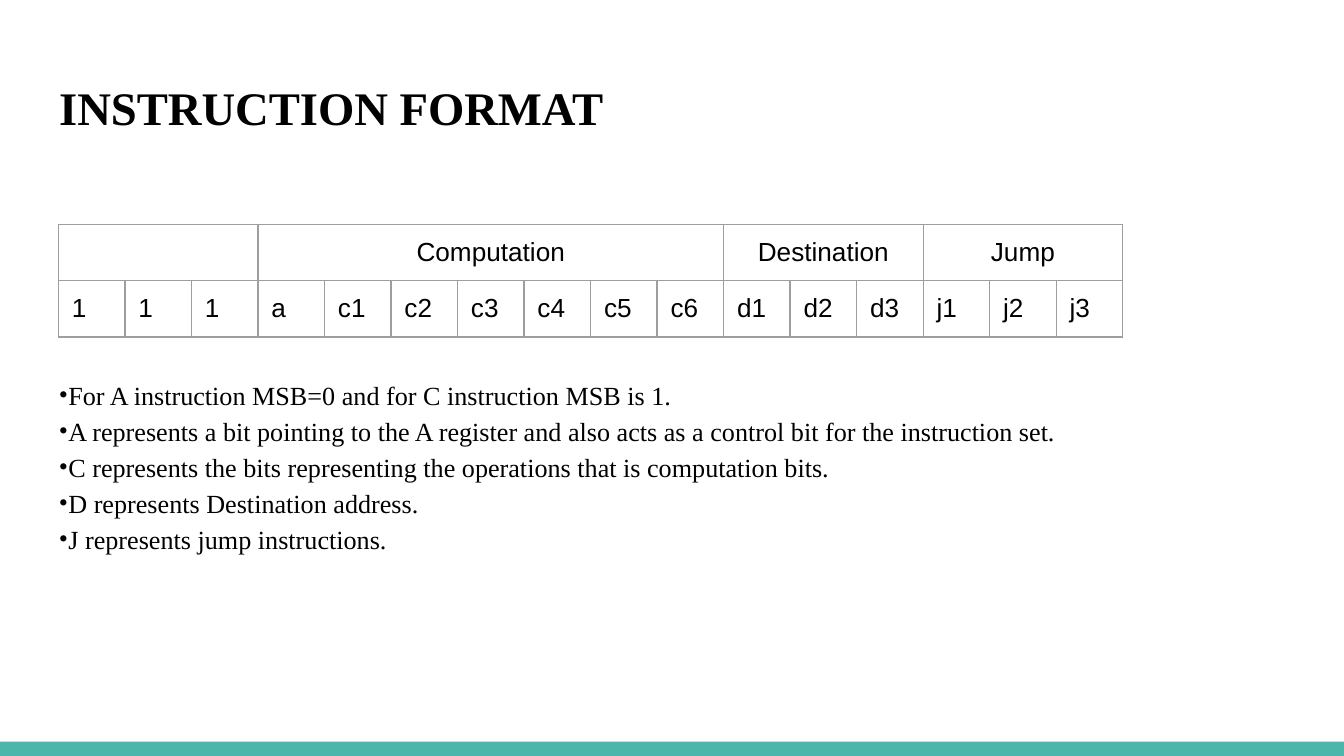
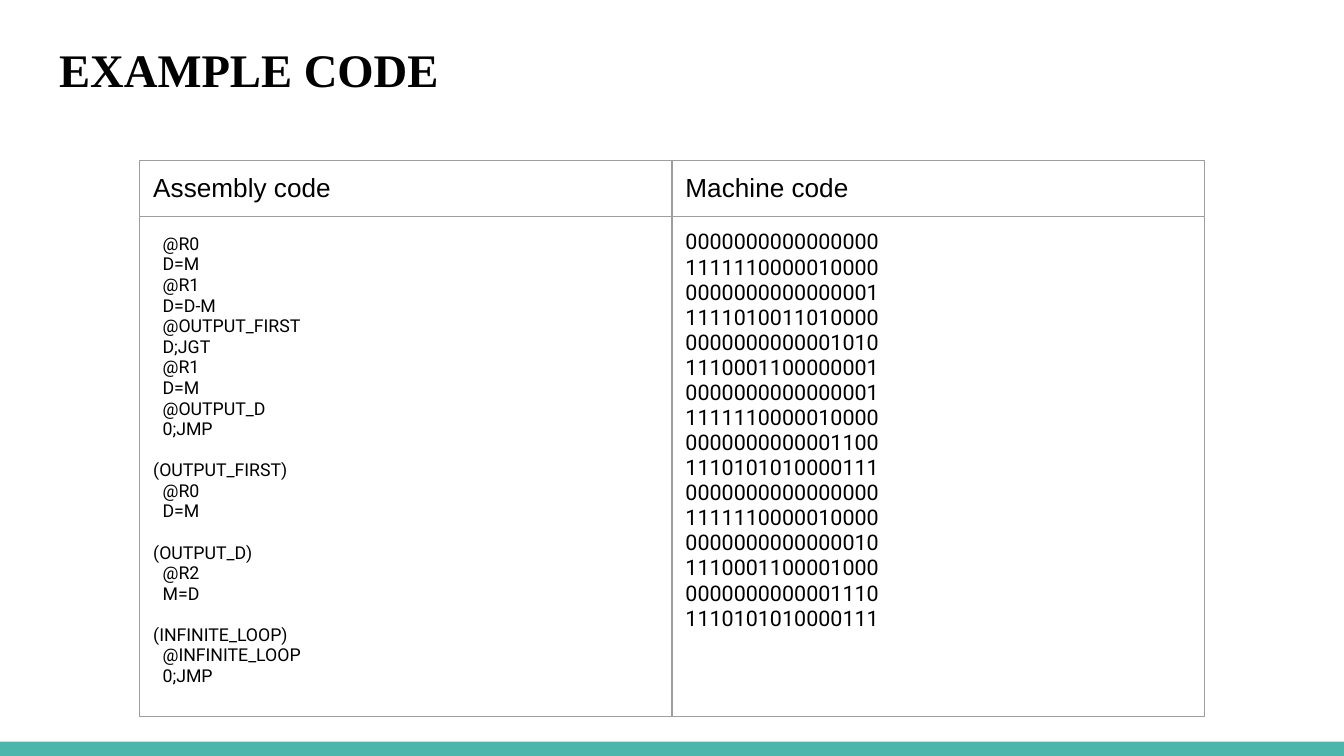
from lxml import etree
from pptx import Presentation
from pptx.dml.color import RGBColor
from pptx.enum.shapes import MSO_SHAPE
from pptx.enum.text import MSO_ANCHOR, MSO_AUTO_SIZE, PP_ALIGN
from pptx.oxml.ns import qn
from pptx.util import Inches, Pt

RECT = MSO_SHAPE.RECTANGLE
TOP = MSO_ANCHOR.TOP
NO_AUTOFIT = MSO_AUTO_SIZE.NONE
LEFT, CENTER, JUSTIFY = PP_ALIGN.LEFT, PP_ALIGN.CENTER, PP_ALIGN.JUSTIFY

WIDTH = Inches(10)
HEIGHT = WIDTH * 9 // 16
INSET = Inches(0.1)
INDENT = Inches(0.07)
TITLE_ONLY = 5

BLACK, WHITE, TEAL, GREY = "000000", "FFFFFF", "4DB6AC", "9E9E9E"
SERIF, SANS, CODE = "Times New Roman", "Arial", "Roboto"

# Text of each field and the number of bits it spans
FIELDS = [("", 3), ("Computation", 7), ("Destination", 3), ("Jump", 3)]
BITS = "1 1 1 a c1 c2 c3 c4 c5 c6 d1 d2 d3 j1 j2 j3".split()
NOTES = [
    "For A instruction MSB=0 and for C instruction MSB is 1.",
    "A represents a bit pointing to the A register and also acts as a control bit "
    "for the instruction set.",
    "C represents the bits representing the operations that is computation bits.",
    "D represents Destination address.",
    "J represents jump instructions.",
]
ASSEMBLY = """@R0
D=M
@R1
D=D-M
@OUTPUT_FIRST
D;JGT
@R1
D=M
@OUTPUT_D
0;JMP
(OUTPUT_FIRST)
@R0
D=M
(OUTPUT_D)
@R2
M=D
(INFINITE_LOOP)
@INFINITE_LOOP
0;JMP"""
MACHINE = """0000000000000000
1111110000010000
0000000000000001
1111010011010000
0000000000001010
1110001100000001
0000000000000001
1111110000010000
0000000000001100
1110101010000111
0000000000000000
1111110000010000
0000000000000010
1110001100001000
0000000000001110
1110101010000111"""


def color(value):
    return RGBColor.from_string(value)


def across(percent):
    return int(WIDTH * percent / 100)


def down(percent):
    return int(HEIGHT * percent / 100)


def area(left, top, width, height):
    """Turn percentages of the slide into a position and size."""
    return across(left), down(top), across(width), down(height)


def set_text(tf, text, font, size, bold=False, align=LEFT):
    tf.text = text
    for p in tf.paragraphs:
        p.alignment = align
        for r in p.runs:
            r.font.name, r.font.size, r.font.bold = font, Pt(size), bold
            r.font.color.rgb = color(BLACK)
        if not p.runs:
            end = etree.SubElement(p._p, qn("a:endParaRPr"), sz=str(size * 100))
            etree.SubElement(end, qn("a:latin"), typeface=font)


def set_insets(box):
    box.margin_left = box.margin_right = INSET
    box.margin_top = box.margin_bottom = INSET


def prepare_frame(tf):
    tf.word_wrap = True
    tf.auto_size = NO_AUTOFIT
    tf.vertical_anchor = TOP
    set_insets(tf)


def add_band(prs, slide):
    """Draw the bottom band and move it to the master."""
    sp = slide.shapes.add_shape(RECT, *area(0, 98.1, 100, 1.9))
    sp.shadow.inherit = False
    sp.fill.solid()
    sp.fill.fore_color.rgb = color(TEAL)
    sp.line.fill.background()
    sp.element.xpath("./p:nvSpPr/p:cNvPr")[0].set("id", "20")
    prs.slide_master.shapes.element.append(sp.element)


def add_titled_slide(prs, title, top):
    slide = prs.slides.add_slide(prs.slide_layouts[TITLE_ONLY])
    sp = slide.shapes.title
    sp.left, sp.top, sp.width, sp.height = area(3.4, top, 93.2, 13.7)
    prepare_frame(sp.text_frame)
    set_text(sp.text_frame, title, SERIF, 25, bold=True)
    return slide


def add_bullets(slide, items, box):
    tf = slide.shapes.add_textbox(*area(*box)).text_frame
    prepare_frame(tf)
    set_text(tf, "\n".join(items), SERIF, 14, align=JUSTIFY)
    for p in tf.paragraphs:
        p.line_spacing = 1.15
        pPr = p._p.get_or_add_pPr()
        pPr.set("marL", str(INDENT))
        pPr.set("indent", str(-INDENT))
        etree.SubElement(pPr, qn("a:buFont"), typeface=SERIF)
        etree.SubElement(pPr, qn("a:buChar"), char="•")


def style_cell(cell):
    """Give a cell grey borders, no fill and even insets."""
    tcPr = cell._tc.get_or_add_tcPr()
    for side in ("lnL", "lnR", "lnT", "lnB"):
        ln = etree.SubElement(tcPr, qn(f"a:{side}"), w=str(Pt(0.75)))
        fill = etree.SubElement(ln, qn("a:solidFill"))
        etree.SubElement(fill, qn("a:srgbClr"), val=GREY)
    cell.fill.background()
    cell.vertical_anchor = TOP
    set_insets(cell)


def add_grid(slide, left, top, n_cols, row_heights):
    box = area(left, top, 79.2, sum(row_heights))
    table = slide.shapes.add_table(len(row_heights), n_cols, *box).table
    table.first_row = table.horz_banding = False
    for row, height in zip(table.rows, row_heights):
        row.height = down(height)
    for col in table.columns:
        col.width = across(79.2 / n_cols)
    for cell in table.iter_cells():
        style_cell(cell)
    return table


def set_assembly(cell):
    """Indent instructions and set a gap above each label."""
    set_text(cell.text_frame, ASSEMBLY, CODE, 9.5)
    cell.margin_top = Inches(0.13)
    for p in cell.text_frame.paragraphs:
        if p.text.startswith("("):
            p.space_before = Pt(11)
        else:
            p._p.get_or_add_pPr().set("marL", str(INDENT))


def build_format_slide(prs):
    slide = add_titled_slide(prs, "INSTRUCTION FORMAT", 8.7)
    add_band(prs, slide)
    add_bullets(slide, NOTES, (3.4, 47.8, 93.2, 40.9))
    table = add_grid(slide, 4.35, 29.7, len(BITS), [7.4, 7.4])
    start = 0
    for name, span in FIELDS:
        table.cell(0, start).merge(table.cell(0, start + span - 1))
        for i in range(start, start + span):
            text = name if i == start else ""
            set_text(table.cell(0, i).text_frame, text, SANS, 14, align=CENTER)
        start += span
    for i, bit in enumerate(BITS):
        set_text(table.cell(1, i).text_frame, bit, SANS, 14)


def build_code_slide(prs):
    slide = add_titled_slide(prs, "EXAMPLE CODE", 3.6)
    table = add_grid(slide, 10.4, 21.2, 2, [7.4, 66.1])
    for i, heading in enumerate(("Assembly code", "Machine code")):
        set_text(table.cell(0, i).text_frame, heading, SANS, 14)
    set_assembly(table.cell(1, 0))
    set_text(table.cell(1, 1).text_frame, MACHINE, CODE, 11.5)


def main():
    prs = Presentation()
    prs.slide_width, prs.slide_height = WIDTH, HEIGHT
    background = prs.slide_master.background.fill
    background.solid()
    background.fore_color.rgb = color(WHITE)
    build_format_slide(prs)
    build_code_slide(prs)
    prs.save("out.pptx")


if __name__ == "__main__":
    main()
